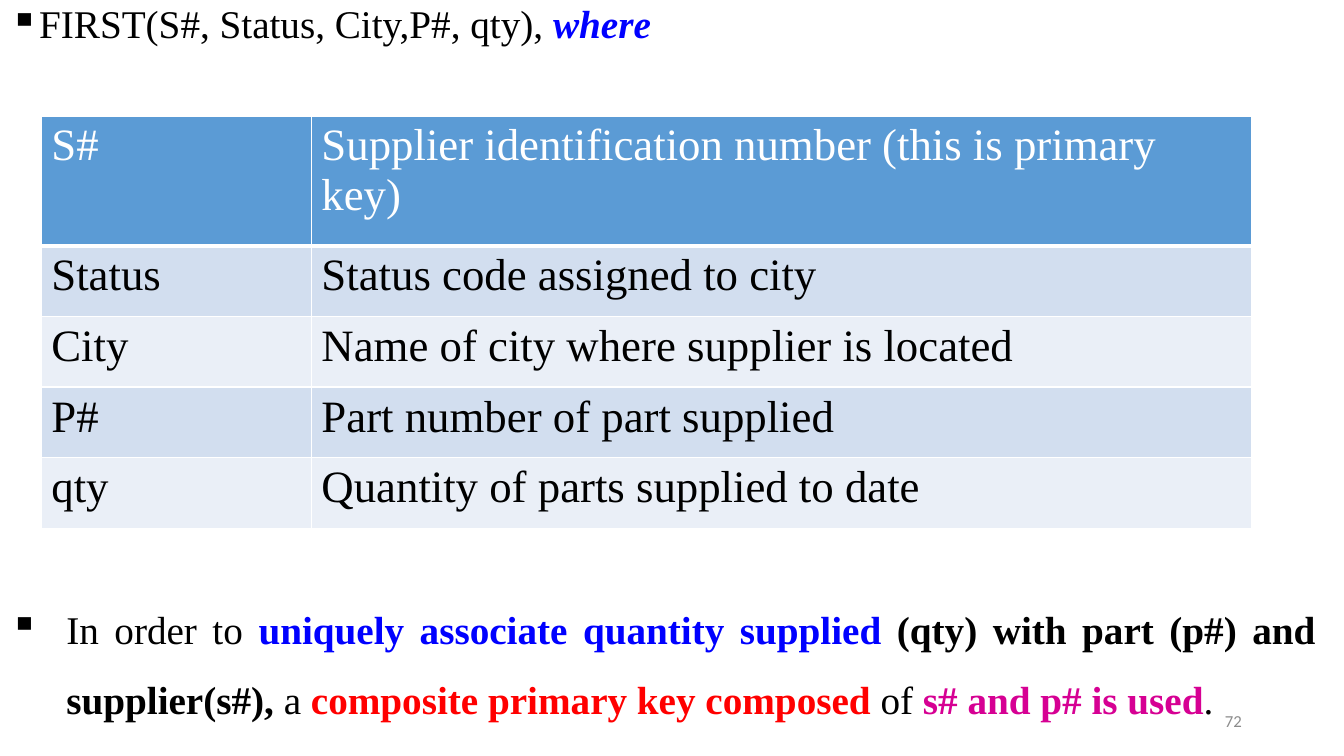
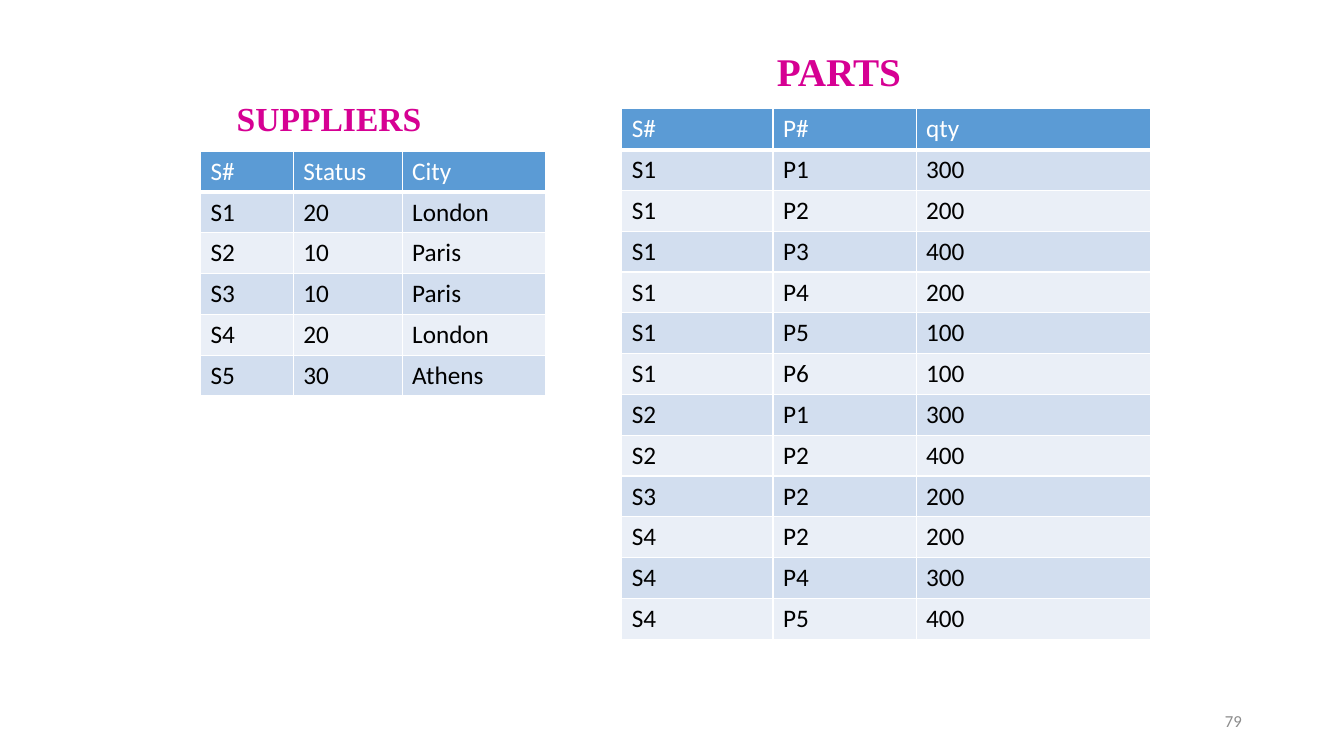
import lxml.etree
import pptx
import pptx.dml.color
import pptx.enum.text
import pptx.oxml.ns
import pptx.util

COLORS = {
    "text": "000000",
    "white": "FFFFFF",
    "blue": "0000FF",
    "red": "FF0000",
    "magenta": "D60093",
    "gray": "8C8C8C",
    "header": "5B9BD5",
    "band_dark": "D2DEEF",
    "band_light": "EAEFF7",
}
SERIF = "Times New Roman"
SANS = "Calibri"
PX = 4572

FIELDS = [
    ("S#", "Supplier identification number (this is primary key)"),
    ("Status", "Status code assigned to city"),
    ("City", "Name of city where supplier is located"),
    ("P#", "Part number of part supplied"),
    ("qty", "Quantity of parts supplied to date"),
]
SUPPLIERS = [
    ("S#", "Status", "City"),
    ("S1", "20", "London"),
    ("S2", "10", "Paris"),
    ("S3", "10", "Paris"),
    ("S4", "20", "London"),
    ("S5", "30", "Athens"),
]
PARTS = [
    ("S#", "P#", "qty"),
    ("S1", "P1", "300"),
    ("S1", "P2", "200"),
    ("S1", "P3", "400"),
    ("S1", "P4", "200"),
    ("S1", "P5", "100"),
    ("S1", "P6", "100"),
    ("S2", "P1", "300"),
    ("S2", "P2", "400"),
    ("S3", "P2", "200"),
    ("S4", "P2", "200"),
    ("S4", "P4", "300"),
    ("S4", "P5", "400"),
]


def px(length):
    return pptx.util.Emu(length * PX)


def rgb(name):
    return pptx.dml.color.RGBColor.from_string(COLORS[name])


def add_child(parent, tag, **attributes):
    return lxml.etree.SubElement(parent, pptx.oxml.ns.qn(tag), attributes)


def add_span(para, text, size=28, name=SERIF, color="text", bold=False, italic=False):
    span = para.add_run()
    span.text = text
    span.font.size = pptx.util.Pt(size)
    span.font.name = name
    span.font.color.rgb = rgb(color)
    span.font.bold = bold
    span.font.italic = italic


class Slides:
    """Holds the deck, its style and the current page."""

    def __init__(self):
        self.deck = pptx.Presentation()
        self.deck.slide_width = px(2667)
        self.deck.slide_height = px(1500)
        self.page = None

    def new_page(self):
        self.page = self.deck.slides.add_slide(self.deck.slide_layouts[6])

    def text(self, left, top, width, height):
        box = self.page.shapes.add_textbox(px(left), px(top), px(width), px(height))
        box.text_frame.word_wrap = True
        return box.text_frame

    def bullet(self, left, top, width, height, spans, indent, spacing, justify=False):
        para = self.text(left, top, width, height).paragraphs[0]
        properties = para._p.get_or_add_pPr()
        properties.set("marL", str(px(indent)))
        properties.set("indent", str(-px(indent)))
        add_child(properties, "a:buChar", char="▪")
        para.line_spacing = spacing
        if justify:
            para.alignment = pptx.enum.text.PP_ALIGN.JUSTIFY
        for text, style in spans:
            add_span(para, text, **style)

    def heading(self, left, top, width, height, text, size):
        frame = self.text(left, top, width, height)
        frame.auto_size = pptx.enum.text.MSO_AUTO_SIZE.SHAPE_TO_FIT_TEXT
        add_span(frame.paragraphs[0], text, size=size, color="magenta", bold=True)

    def page_number(self, number):
        frame = self.text(1884, 1390, 600, 80)
        frame.vertical_anchor = pptx.enum.text.MSO_ANCHOR.MIDDLE
        para = frame.paragraphs[0]
        para.alignment = pptx.enum.text.PP_ALIGN.RIGHT
        add_span(para, str(number), size=12, name=SANS, color="gray")

    def borders(self, cell, bottom):
        properties = cell._tc.get_or_add_tcPr()
        for side, points in (("L", 1), ("R", 1), ("T", 1), ("B", bottom)):
            line = add_child(properties, f"a:ln{side}", w=str(pptx.util.Pt(points)))
            fill = add_child(line, "a:solidFill")
            add_child(fill, "a:srgbClr", val=COLORS["white"])

    def table(self, left, top, widths, header_height, row_height, rows, **style):
        heights = [header_height] + [row_height] * (len(rows) - 1)
        table = self.page.shapes.add_table(
            len(rows), len(widths), px(left), px(top), px(sum(widths)), px(sum(heights))
        ).table
        for column, width in zip(table.columns, widths):
            column.width = px(width)
        for index, (row, height, values) in enumerate(zip(table.rows, heights, rows)):
            row.height = px(height)
            is_header = index == 0
            band = "band_dark" if index % 2 else "band_light"
            for cell, value in zip(row.cells, values):
                self.borders(cell, 3 if is_header else 1)
                cell.fill.solid()
                cell.fill.fore_color.rgb = rgb("header" if is_header else band)
                color = "white" if is_header else "text"
                add_span(cell.text_frame.paragraphs[0], value, color=color, **style)


def relation_page(slides):
    slides.new_page()
    definition = [
        ("FIRST(S#, Status, City,P#, qty), ", {}),
        ("where", {"color": "blue", "bold": True, "italic": True}),
    ]
    slides.bullet(0, 0, 2630, 1500, definition, indent=50, spacing=0.9)
    slides.table(82, 230, [536, 1866], 258, 140, FIELDS, size=32)
    key = [
        ("In order to ", {}),
        ("uniquely associate quantity supplied ", {"color": "blue", "bold": True}),
        ("(qty) with part (p#) and supplier(s#), ", {"bold": True}),
        ("a ", {}),
        ("composite primary key composed", {"color": "red", "bold": True}),
        (" of ", {}),
        ("s# and p# is used", {"color": "magenta", "bold": True}),
        (".", {}),
    ]
    slides.bullet(0, 1144, 2630, 286, key, indent=112, spacing=1.5, justify=True)
    slides.page_number(72)


def tables_page(slides):
    slides.new_page()
    slides.table(398, 300, [184, 216, 284], 81, 81, SUPPLIERS, size=18, name=SANS)
    slides.heading(450, 184, 468, 100, "SUPPLIERS", size=24)
    slides.table(1234, 216, [300, 284, 466], 81, 81, PARTS, size=18, name=SANS)
    slides.heading(1522, 84, 334, 114, "PARTS", size=28)
    slides.page_number(79)


def main():
    slides = Slides()
    relation_page(slides)
    tables_page(slides)
    slides.deck.save("out.pptx")


if __name__ == "__main__":
    main()
